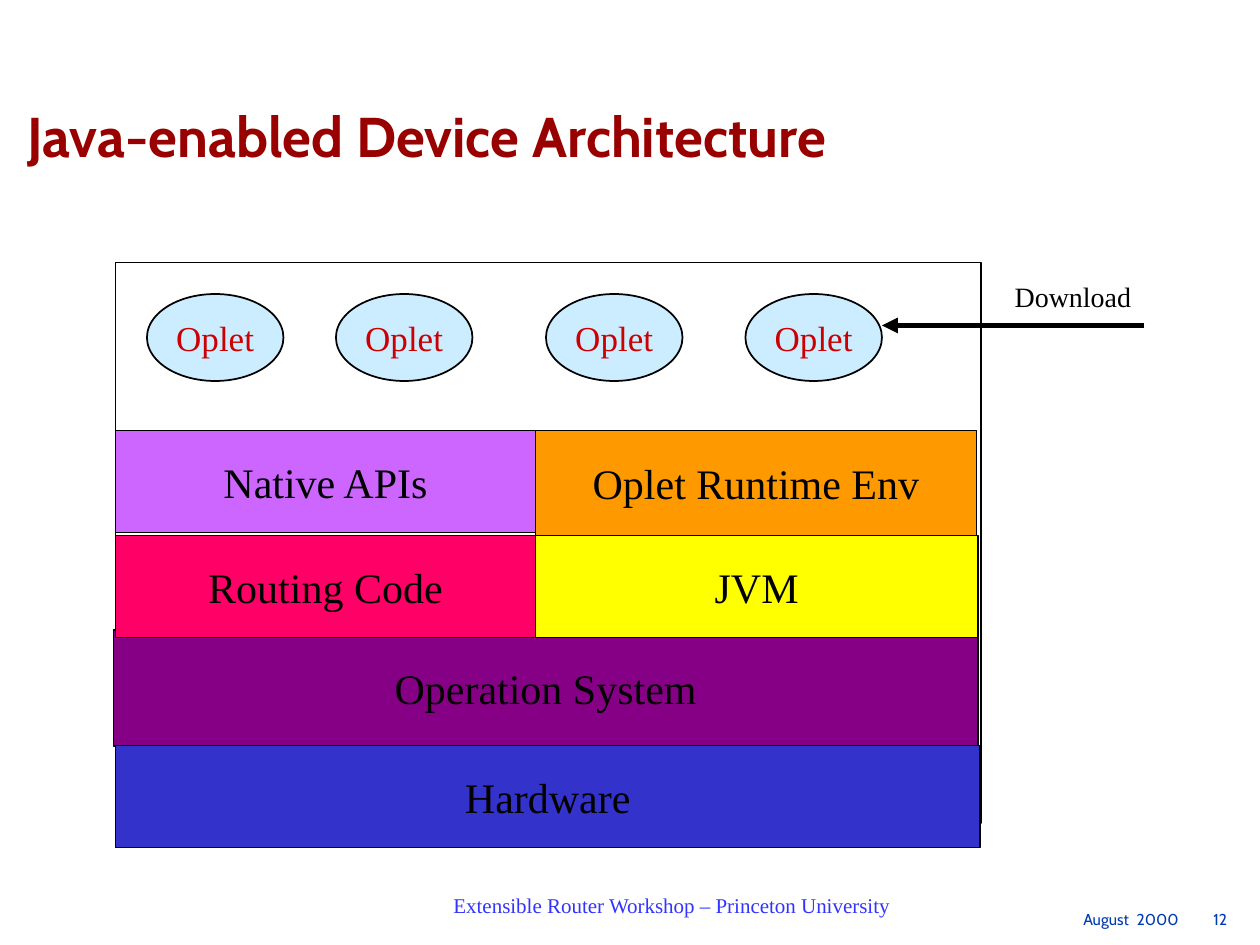
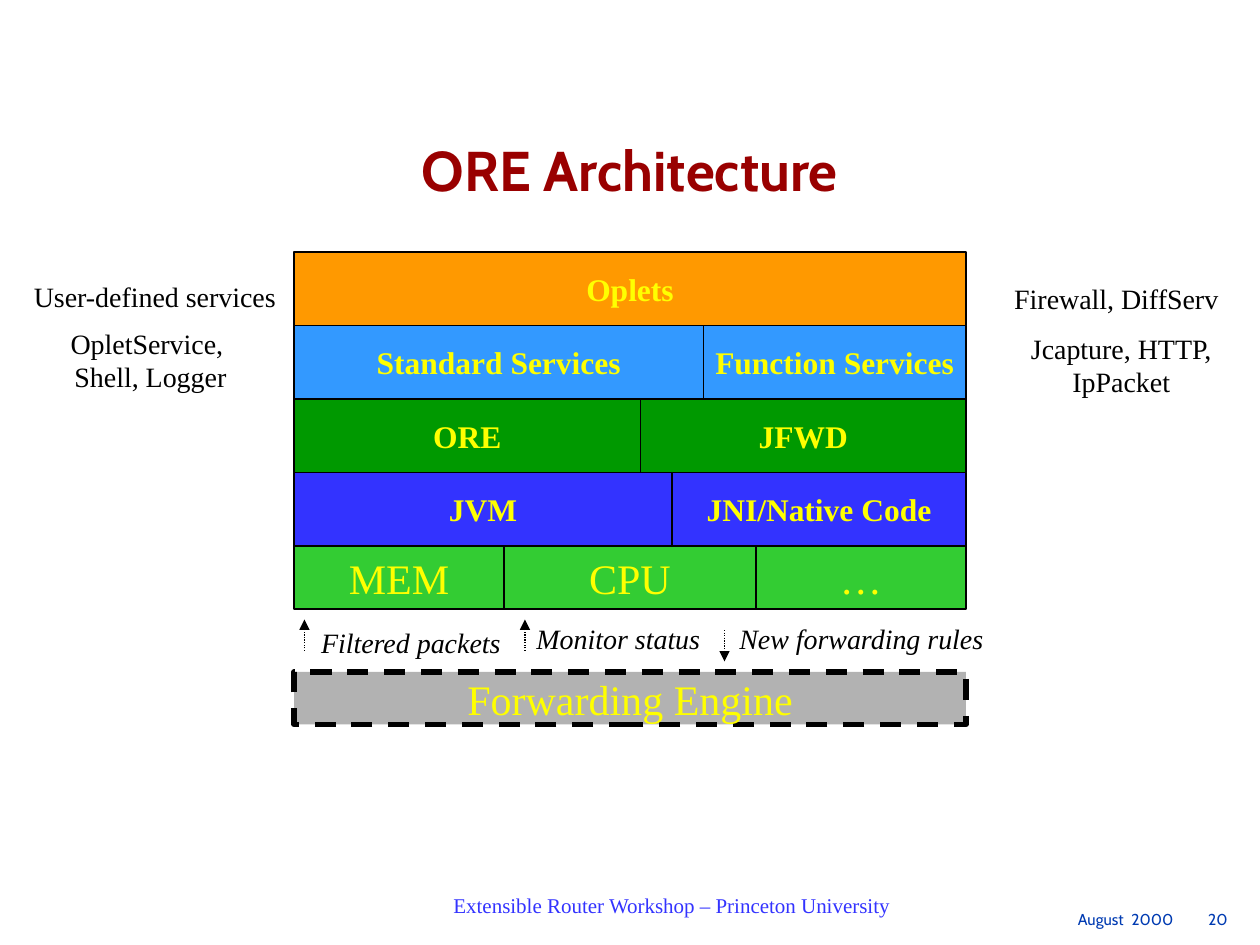
"""Builds two slides on a layered router architecture."""
from itertools import accumulate
from lxml.etree import SubElement as Sub
from pptx import Presentation
from pptx.dml.color import RGBColor as RGB
from pptx.enum.dml import MSO_LINE as Dash
from pptx.enum.shapes import MSO_CONNECTOR as Link, MSO_SHAPE as Kind
from pptx.enum.text import MSO_ANCHOR as Anchor, PP_ALIGN as Align
from pptx.oxml.ns import qn
from pptx.util import Pt

BLACK, YELLOW = "000000", "FFFF00"
SERIF, SANS = "Times New Roman", "Cabin"

STYLES = {
    "title": dict(name=SANS, size=32, color="990000", bold=True),
    "date": dict(name=SANS, size=9, color="003BB2"),
    "event": dict(name=SERIF, size=12, color="3333FF"),
    "layer": dict(name=SERIF, size=24, color=BLACK),
    "oplet": dict(name=SERIF, size=20, color="CC0000"),
    "label": dict(name=SERIF, size=16, color=BLACK),
    "flow": dict(name=SERIF, size=16, color=BLACK, italic=True),
    "block": dict(name=SERIF, size=18, color=YELLOW, bold=True),
    "part": dict(name=SERIF, size=24, color=YELLOW),
}

EVENT = "Extensible Router Workshop – Princeton University"
DATE_TABS = (30.5, 74.3)

FRAME = (66, 150, 494.6, 320.4)
LAYERS = [
    ("Operation System", "860086", (64.8, 360, 494, 66.2)),
    ("JVM", "FFFF00", (306, 306, 252.7, 58.3)),
    ("Oplet Runtime Env", "FF9900", (306, 246, 252, 60)),
    ("Hardware", "3333CC", (66, 426, 494, 58.3)),
    ("Routing Code", "FF0066", (66, 306, 240, 58.3)),
    ("Native APIs", "CC66FF", (66, 246, 240, 58.3)),
]
OPLETS = (84, 192, 312, 426)

LEFT, TOP, WIDE = 168, 144, 384
ROWS = [
    ("FF9900", 42, "block", [("Oplets", 384)]),
    ("3399FF", 42, "block", [("Standard Services", 234), ("Function Services", 150)]),
    ("009900", 42, "block", [("ORE", 198), ("JFWD", 186)]),
    ("3333FF", 42, "block", [("JVM", 216), ("JNI/Native Code", 168)]),
    ("33CC33", 36, "part", [("MEM", 120), ("CPU", 144), ("…", 120)]),
]
FLOWS = [
    ("Filtered packets", (176.4, 354.2, 117.4, 26.6), (174, 372, 174, 354)),
    ("Monitor status", (299.5, 351.4, 108, 26.6), (300, 372, 300, 354)),
    ("New forwarding rules", (415.4, 351.4, 154, 26.6), (414, 360, 414, 378)),
]
NOTES = [
    ("User-defined services", (12.2, 156.2, 152.6, 26)),
    ("OpletService, \nShell, Logger", (33.1, 182.9, 105.8, 45.4)),
    ("Firewall, DiffServ", (572.4, 157.7, 131, 26)),
    ("Jcapture, HTTP,\nIpPacket", (581, 185.8, 119.5, 45.4)),
]


def tint(code):
    return RGB.from_string(code)


def write(shape, text, style, align=Align.CENTER, anchor=Anchor.MIDDLE,
          pad=(7.2, 3.6), wrap=False, space=None, tabs=()):
    frame = shape.text_frame
    form = dict(word_wrap=wrap, vertical_anchor=anchor,
                margin_left=Pt(pad[0]), margin_right=Pt(pad[0]),
                margin_top=Pt(pad[1]), margin_bottom=Pt(pad[1]))
    for key, val in form.items():
        setattr(frame, key, val)
    for num, line in enumerate(text.split("\n")):
        para = frame.add_paragraph() if num else frame.paragraphs[0]
        para.alignment = align
        if space:
            para.line_spacing = space
        if tabs:
            stops = Sub(para._p.get_or_add_pPr(), qn("a:tabLst"))
            for stop in tabs:
                Sub(stops, qn("a:tab"), pos=str(int(Pt(stop))), algn="l")
        run = para.add_run()
        run.text = line
        for key, val in STYLES[style].items():
            if key == "color":
                run.font.color.rgb = tint(val)
            else:
                setattr(run.font, key, Pt(val) if key == "size" else val)


def label(slide, text, box, style, **form):
    write(slide.shapes.add_textbox(*map(Pt, box)), text, style, **form)


def stroke(line, width, dash=None):
    line.color.rgb = tint(BLACK)
    line.width = Pt(width)
    if dash:
        line.dash_style = dash


def block(slide, box, fill=None, text="", style="layer",
          kind=Kind.RECTANGLE, width=1, dash=None):
    shape = slide.shapes.add_shape(kind, *map(Pt, box))
    shape.shadow.inherit = False
    if fill:
        shape.fill.solid()
        shape.fill.fore_color.rgb = tint(fill)
    else:
        shape.fill.background()
    stroke(shape.line, width, dash)
    if text:
        write(shape, text, style)


def arrow(slide, ends, width, dash=None):
    link = slide.shapes.add_connector(Link.STRAIGHT, *map(Pt, ends))
    stroke(link.line, width, dash)
    Sub(link.line._get_or_add_ln(), qn("a:tailEnd"), type="triangle")
    Sub(link._element.spPr, qn("a:effectLst"))


def start(deck, title, box, align, page, left):
    slide = deck.slides.add_slide(deck.slide_layouts[6])
    label(slide, f"August\t2000\t{page}", (left, 519.8, 96, 12.2), "date",
          align=Align.LEFT, anchor=Anchor.TOP, pad=(0, 0), tabs=DATE_TABS)
    label(slide, EVENT, (222, 509.8, 324, 14.4), "event",
          anchor=Anchor.TOP, pad=(6.5, 0), wrap=True)
    label(slide, title, box, "title", align=align, anchor=Anchor.BOTTOM,
          pad=(3.6, 3.6), wrap=True, space=0.93)
    return slide


def device(deck):
    slide = start(deck, "Java-enabled Device Architecture",
                  (12.2, 48.2, 618.5, 52.6), Align.LEFT, 12, 619)
    block(slide, FRAME)
    for text, fill, box in LAYERS:
        block(slide, box, fill, text)
    for left in OPLETS:
        block(slide, (left, 168, 78, 49.7), "CCECFF", "Oplet", "oplet", Kind.OVAL)
    arrow(slide, (654, 186, 504, 186), 3)
    label(slide, "Download", (540, 156.2, 146.2, 26), "label", wrap=True)


def ore(deck):
    slide = start(deck, "ORE Architecture",
                  (0, 67.7, 720, 52.6), Align.CENTER, 20, 616)
    top = TOP
    for fill, high, style, cells in ROWS:
        edges = accumulate((wide for _, wide in cells), initial=LEFT)
        for (text, wide), left in zip(cells, edges):
            block(slide, (left, top, wide, high), fill, text, style)
        top += high
    block(slide, (LEFT, top + 36, WIDE, 30), "B2B2B2", "Forwarding Engine",
          "part", width=3, dash=Dash.DASH)
    for text, box, ends in FLOWS:
        label(slide, text, box, "flow", align=Align.LEFT, anchor=Anchor.TOP)
        arrow(slide, ends, 0.75, Dash.ROUND_DOT)
    for text, box in NOTES:
        label(slide, text, box, "label")


def main():
    deck = Presentation()
    deck.slide_width, deck.slide_height = Pt(720), Pt(540)
    device(deck)
    ore(deck)
    deck.save("out.pptx")


if __name__ == "__main__":
    main()
